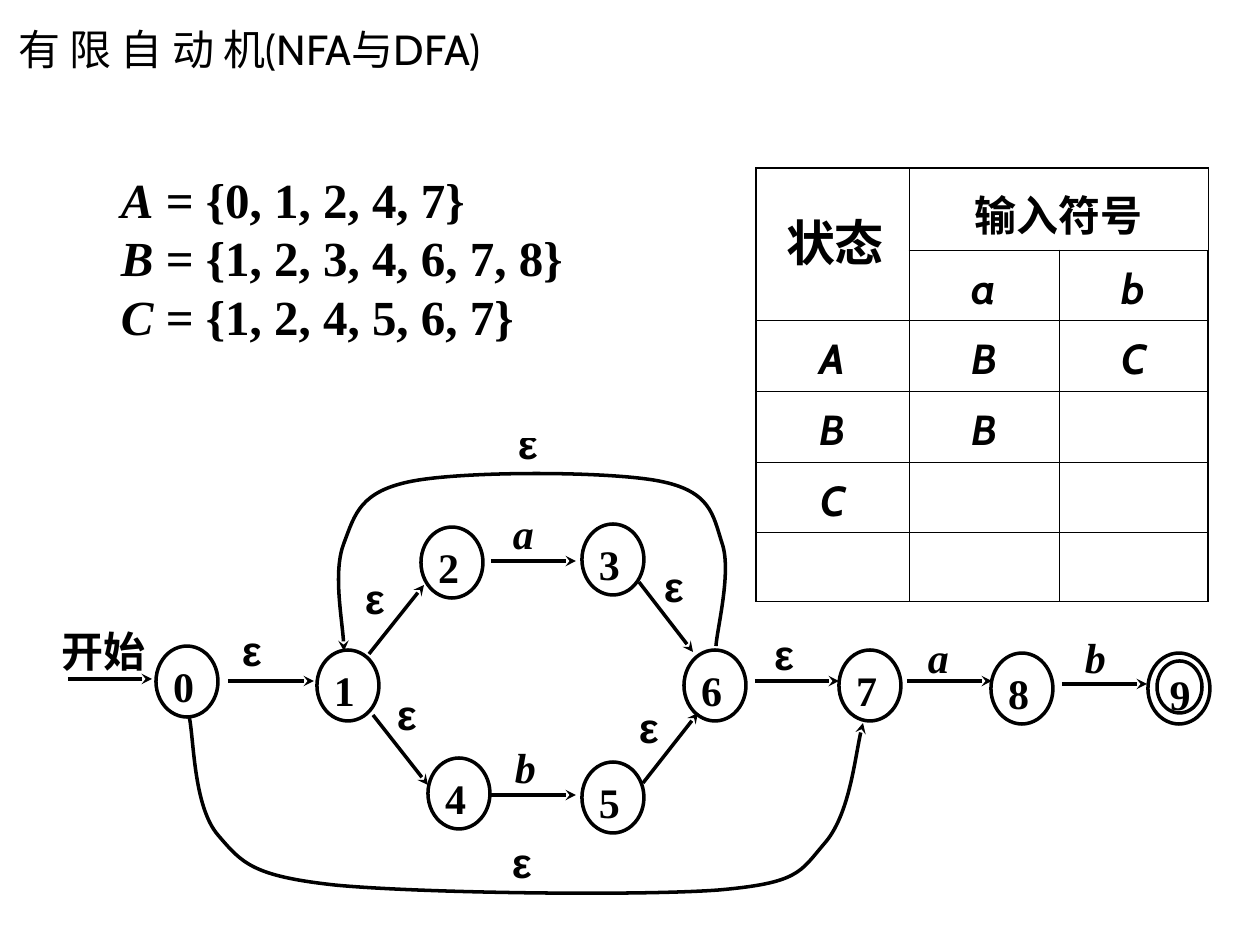
"""Build the NFA to DFA slide: a state graph, its state sets and a transition table."""
from pptx import Presentation, util as u
from pptx.dml.color import RGBColor
from pptx.enum import shapes, text
from pptx.oxml import parse_xml
from pptx.oxml.ns import nsdecls, qn

PX = 914400 / 126
BLACK = RGBColor(0, 0, 0)
WHITE = RGBColor(255, 255, 255)
SERIF, SANS, GREEK = "Times New Roman", "Cabin", "Arial"
LEFT, CENTER, JUSTIFY = text.PP_ALIGN.LEFT, text.PP_ALIGN.CENTER, text.PP_ALIGN.JUSTIFY
TOP, MIDDLE = text.MSO_ANCHOR.TOP, text.MSO_ANCHOR.MIDDLE


def px(*values):
    return [u.Emu(round(v * PX)) for v in values]


def write(tf, lines, font=SERIF, size=24, bold=True, align=LEFT, anchor=TOP, insets=(8, 4, 8, 4)):
    tf.word_wrap = True
    tf.auto_size = text.MSO_AUTO_SIZE.NONE
    tf.vertical_anchor = anchor
    tf.margin_left, tf.margin_top, tf.margin_right, tf.margin_bottom = px(*insets)
    for i, runs in enumerate(lines):
        p = tf.add_paragraph() if i else tf.paragraphs[0]
        p.alignment = align
        for words, italic in runs:
            r = p.add_run()
            r.text = words
            r.font.name, r.font.size = font, u.Pt(size)
            r.font.bold, r.font.italic = bold, italic
            r.font.color.rgb = BLACK


prs = Presentation()
prs.slide_width, prs.slide_height = px(1260, 945)
s = prs.slides.add_slide(prs.slide_layouts[5])

title = s.shapes.title
title.left, title.top, title.width, title.height = px(5, 6, 517, 86)
write(title.text_frame, [[("有 限 自 动 机(NFA与DFA)", False)]], SANS,
      bold=False, anchor=MIDDLE, insets=(13, 6, 13, 6))

graph = s.shapes.add_group_shape().shapes

NODE, INNER = (62, 71), (45, 52)
states = [
    ("0", 156, 646, NODE), ("1", 317, 650, NODE), ("2", 421, 527, NODE),
    ("3", 582, 524, NODE), ("4", 428, 758, NODE), ("5", 582, 762, NODE),
    ("6", 684, 650, NODE), ("7", 839, 650, NODE), ("8", 991, 653, NODE),
    ("", 1148, 653, NODE), ("9", 1157, 661, INNER),
]
for name, x, y, size in states:
    sp = graph.add_shape(shapes.MSO_SHAPE.OVAL, *px(x, y, *size))
    sp.shadow.inherit = False
    sp.fill.background()
    sp.line.color.rgb, sp.line.width = BLACK, u.Pt(2)
    if name:
        write(sp.text_frame, [[(name, False)]],
              insets=(8, 4, 3, 6) if size == NODE else (6, 0, 1, 0))

labels = [
    ("开始", 54, 621, 100), ("ε", 234, 620, 54), ("ε", 357, 568, 50),
    ("ε", 389, 684, 54), ("ε", 656, 556, 54), ("ε", 631, 697, 54),
    ("ε", 504, 832, 54), ("ε", 510, 413, 54), ("ε", 766, 624, 54),
    ("a", 505, 503, 50), ("b", 507, 737, 50), ("a", 920, 627, 50), ("b", 1077, 627, 57),
]
for name, x, y, width in labels:
    tb = graph.add_textbox(*px(x, y, width, 57))
    write(tb.text_frame, [[(name, name in "ab")]],
          GREEK if name == "ε" else SERIF, align=JUSTIFY)

edges = [
    (68, 679, 152, 679), (228, 681, 314, 681), (755, 681, 839, 681),
    (907, 681, 992, 681), (1062, 684, 1147, 684), (491, 561, 576, 561),
    (491, 795, 576, 795), (369, 654, 424, 585), (639, 582, 693, 652),
    (643, 783, 698, 713), (373, 715, 428, 785),
]
arrows = []
for ends in edges:
    line = graph.add_connector(shapes.MSO_CONNECTOR.STRAIGHT, *px(*ends))
    line._element.spPr.append(parse_xml(f"<a:effectLst {nsdecls('a')}/>"))
    arrows.append(line)

loops = [
    [(189, 716), (194, 736), (193, 806), (218, 835), (242, 863), (252, 876), (335, 885),
     (418, 893), (636, 896), (718, 890), (799, 883), (800, 872), (824, 844),
     (849, 816), (856, 748), (863, 723)],
    [(716, 646), (717, 629), (732, 571), (722, 543), (713, 515), (711, 491), (659, 481),
     (607, 471), (466, 471), (413, 481), (360, 491), (355, 514), (344, 543),
     (333, 571), (344, 629), (344, 651)],
]
for points in loops:
    fb = graph.build_freeform(*points[0], scale=PX)
    fb.add_line_segments(points[1:], close=False)
    sp = fb.convert_to_shape()
    sp.shadow.inherit = False
    sp.fill.background()
    segments = list(sp._element.iter(qn("a:lnTo")))
    for i in range(0, len(segments), 3):
        curve = parse_xml(f"<a:cubicBezTo {nsdecls('a')}/>")
        segments[i].addprevious(curve)
        for segment in segments[i:i + 3]:
            curve.append(segment[0])
            segment.getparent().remove(segment)
    arrows.append(sp)

for sp in arrows:
    sp.line.color.rgb, sp.line.width = BLACK, u.Pt(2)
    sp.line._get_or_add_ln().append(parse_xml(f"<a:tailEnd {nsdecls('a')} type='stealth'/>"))

rows = [["", "输入符号", ""], ["", "a", "b"], ["A", "B", "C"],
        ["B", "B", ""], ["C", "", ""], ["", "", ""]]
frame = s.shapes.add_table(6, 3, *px(756, 168, 452, 410))
table = frame.table
table.first_row = table.horz_banding = False
for column, width in zip(table.columns, px(153, 150, 149)):
    column.width = width
for row, height in zip(table.rows, px(67, 67, 69, 69, 69, 69)):
    row.height = height
for i, row in enumerate(rows):
    for j, words in enumerate(row):
        cell = table.cell(i, j)
        cell.margin_left = cell.margin_right = px(8)[0]
        cell.margin_top = cell.margin_bottom = px(6)[0]
        p = cell.text_frame.paragraphs[0]
        p.alignment, p.line_spacing = CENTER, 1.15
        if words:
            r = p.add_run()
            r.text = words
            r.font.name, r.font.size = SANS, u.Pt(24)
            r.font.bold, r.font.italic = True, i > 0
            r.font.color.rgb = BLACK
        outer = {"L": j == 0, "R": j == 2, "T": i == 0, "B": i == 5}
        tcPr = cell._tc.get_or_add_tcPr()
        for side, is_outer in outer.items():
            tcPr.append(parse_xml(
                f"<a:ln{side} {nsdecls('a')} w='{u.Pt(1.08 if is_outer else 0.45)}'>"
                f"<a:solidFill><a:srgbClr val='{BLACK}'/></a:solidFill></a:ln{side}>"))
        cell.fill.background()
table.cell(0, 0).merge(table.cell(1, 0))
table.cell(0, 1).merge(table.cell(0, 2))

sets = [[("A", True), (" = {0, 1, 2, 4, 7}", False)],
        [("B", True), (" = {1, 2, 3, 4, 6, 7, 8}", False)],
        [("C", True), (" = {1, 2, 4, 5, 6, 7}", False)]]
panels = [((777, 189, 116, 105), [[("状态", False)]], CENTER, MIDDLE),
          ((113, 165, 504, 273), sets, LEFT, TOP)]
for box, lines, align, anchor in panels:
    sp = s.shapes.add_shape(shapes.MSO_SHAPE.RECTANGLE, *px(*box))
    sp.shadow.inherit = False
    sp.fill.solid()
    sp.fill.fore_color.rgb = WHITE
    sp.line.fill.background()
    write(sp.text_frame, lines, size=28, align=align, anchor=anchor)

prs.save("out.pptx")
